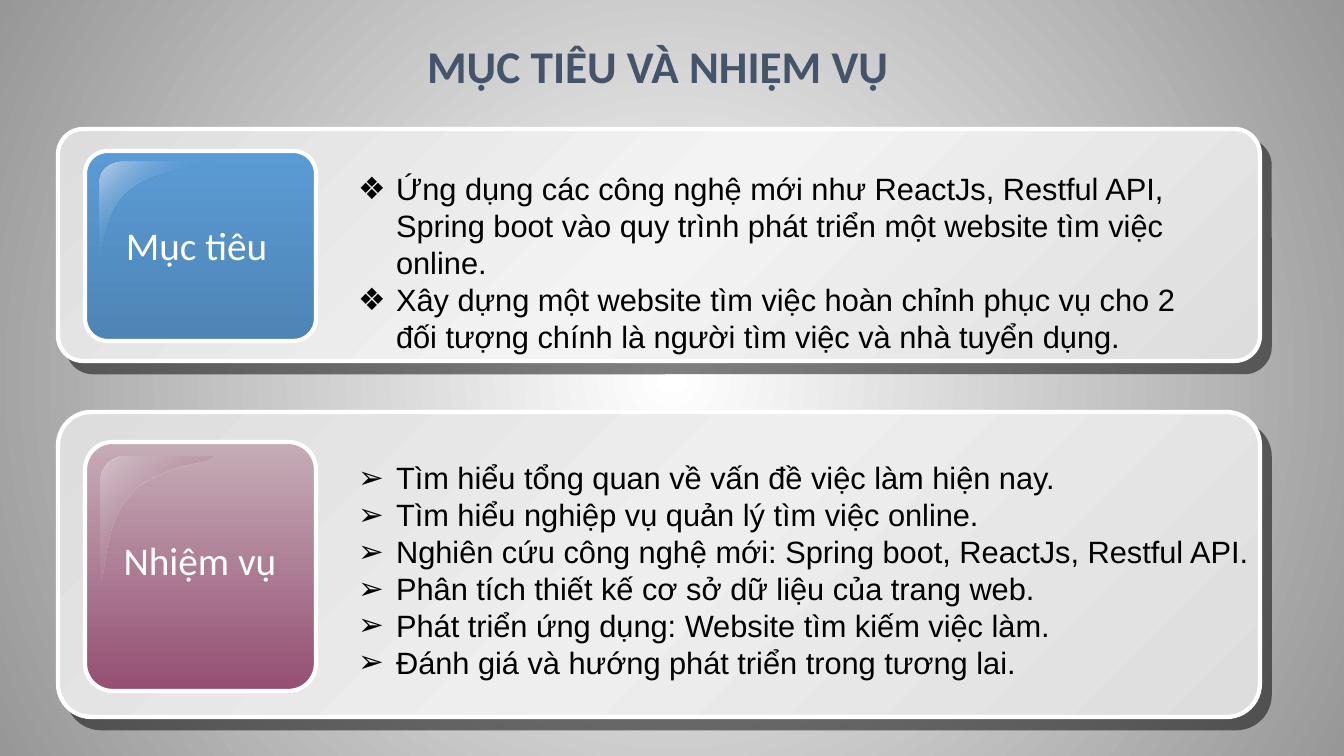
import pptx
import pptx.dml.color
import pptx.enum.shapes
import pptx.enum.text
import pptx.oxml
import pptx.oxml.ns
import pptx.util

RGBColor = pptx.dml.color.RGBColor
WHITE = RGBColor(0xFF, 0xFF, 0xFF)
BLACK = RGBColor(0x00, 0x00, 0x00)
SLATE = RGBColor(0x44, 0x54, 0x6A)
BACKDROP_GRAY = RGBColor(0x97, 0x97, 0x97)
PANEL_GRAY = RGBColor(0xDD, 0xDD, 0xDD)
PANEL_LIGHT = RGBColor(0xF3, 0xF3, 0xF3)
PANEL_MIDDLE = RGBColor(0xEE, 0xEE, 0xEE)
BLUE = RGBColor(0x5B, 0x9B, 0xD5)
DARK_BLUE = RGBColor(0x4E, 0x85, 0xB6)
PALE_BLUE = RGBColor(0xBE, 0xD0, 0xE9)
PLUM = RGBColor(0x95, 0x4F, 0x72)
LIGHT_PLUM = RGBColor(0xC5, 0xAD, 0xB7)
PALE_PLUM = RGBColor(0xD4, 0xC4, 0xCB)

SCALE = 12192000 / 1344
GLOSS_START = (0.2, 0)
GLOSS_CORNER = [(0.09, 0), (0, 0.09), (0, 0.2)]
GLOSS_FOOT = (0, 0.99)
GLOSS_SWEEP = [[(0.04, 1.01), (0.02, 0.52), (0.27, 0.29)],
               [(0.52, 0.06), (1, 0.05), (0.98, 0)]]


def px(length):
    return pptx.util.Emu(round(length * SCALE))


def curve(start, controls, steps=16):
    points = [start, *controls]
    for step in range(1, steps + 1):
        t = step / steps
        weights = ((1 - t) ** 3, 3 * t * (1 - t) ** 2, 3 * t * t * (1 - t), t ** 3)
        yield tuple(sum(w * point[axis] for w, point in zip(weights, points)) for axis in (0, 1))


def gloss_outline():
    outline = [GLOSS_START, *curve(GLOSS_START, GLOSS_CORNER), GLOSS_FOOT]
    for controls in GLOSS_SWEEP:
        outline.extend(curve(outline[-1], controls))
    return outline


class SlideBuilder:
    heading_font = "Calibri"
    body_font = "Arial"

    def __init__(self, slide):
        self.slide = slide

    def xml(self, markup):
        head, tail = markup.split(">", 1)
        closing = "/" if head.endswith("/") else ""
        head = head.rstrip("/")
        return pptx.oxml.parse_xml(f"{head} {pptx.oxml.ns.nsdecls('a')}{closing}>{tail}")

    def gradient(self, fill, properties, stops, direction):
        fill.solid()
        markup = ""
        for position, color, *alpha in stops:
            opacity = f'<a:alpha val="{alpha[0] * 1000}"/>' if alpha else ""
            markup += f'<a:gs pos="{position * 1000}"><a:srgbClr val="{color}">{opacity}</a:srgbClr></a:gs>'
        element = self.xml(f'<a:gradFill rotWithShape="1"><a:gsLst>{markup}</a:gsLst>{direction}</a:gradFill>')
        properties.replace(properties.find(pptx.oxml.ns.qn("a:solidFill")), element)

    def linear(self, shape, stops, angle):
        direction = f'<a:lin ang="{angle * 60000}" scaled="0"/>'
        self.gradient(shape.fill, shape.element.spPr, stops, direction)

    def background(self, stops):
        fill = self.slide.background.fill
        fill.solid()
        properties = self.slide.element.find(".//" + pptx.oxml.ns.qn("p:bgPr"))
        center = '<a:path path="circle"><a:fillToRect l="50000" t="50000" r="50000" b="50000"/></a:path>'
        self.gradient(fill, properties, stops, center)

    def rounded(self, box, radius, stops, angle):
        kind = pptx.enum.shapes.MSO_SHAPE.ROUNDED_RECTANGLE
        shape = self.slide.shapes.add_shape(kind, *map(px, box))
        shape.adjustments[0] = radius
        shape.shadow.inherit = False
        shape.line.color.rgb = WHITE
        shape.line.width = pptx.util.Pt(3)
        self.linear(shape, stops, angle)
        return shape

    def panel(self, box, middle):
        shape = self.rounded(box, 0.109, [(0, PANEL_GRAY), (50, middle), (100, PANEL_GRAY)], 45)
        effects = shape.element.spPr.find(pptx.oxml.ns.qn("a:effectLst"))
        effects.append(self.xml(
            f'<a:outerShdw blurRad="0" dist="{pptx.util.Pt(10.6)}" dir="{49 * 60000}" algn="ctr" rotWithShape="0">'
            f'<a:srgbClr val="{BLACK}"><a:alpha val="50000"/></a:srgbClr></a:outerShdw>'))

    def card(self, box, top_color, bottom_color):
        self.rounded(box, 0.119, [(0, top_color), (100, bottom_color)], 90)

    def gloss(self, box, stops):
        left, top, width, height = box
        points = [(px(left + x * width), px(top + y * height)) for x, y in gloss_outline()]
        builder = self.slide.shapes.build_freeform(*points[0])
        builder.add_line_segments(points[1:], close=True)
        shape = builder.convert_to_shape()
        shape.shadow.inherit = False
        shape.line.fill.background()
        self.linear(shape, stops, 45)

    def style(self, paragraph, font, size, color, alignment, bold=False):
        paragraph.font.name = font
        paragraph.font.size = pptx.util.Pt(size)
        paragraph.font.color.rgb = color
        paragraph.font.bold = bold
        paragraph.alignment = alignment
        paragraph.space_before = pptx.util.Pt(0)

    def label(self, box, text):
        frame = self.slide.shapes.add_textbox(*map(px, box)).text_frame
        frame.word_wrap = False
        frame.auto_size = pptx.enum.text.MSO_AUTO_SIZE.SHAPE_TO_FIT_TEXT
        frame.text = text
        self.style(frame.paragraphs[0], self.heading_font, 28, WHITE, pptx.enum.text.PP_ALIGN.CENTER)

    def place(self, placeholder, box, anchor):
        placeholder.left, placeholder.top, placeholder.width, placeholder.height = map(px, box)
        placeholder.element.getparent().append(placeholder.element)
        frame = placeholder.text_frame
        frame.word_wrap = True
        frame.auto_size = pptx.enum.text.MSO_AUTO_SIZE.NONE
        frame.vertical_anchor = anchor
        return frame

    def bullets(self, placeholder, box, symbol, items):
        frame = self.place(placeholder, box, pptx.enum.text.MSO_ANCHOR.TOP)
        frame.text = "\n".join(items)
        for paragraph in frame.paragraphs:
            self.style(paragraph, self.body_font, 22, BLACK, pptx.enum.text.PP_ALIGN.LEFT)
            properties = paragraph._p.get_or_add_pPr()
            properties.set("marL", str(px(38)))
            properties.set("indent", str(-px(38)))
            mark = self.xml(f'<a:buChar char="{symbol}"/>')
            properties.insert_element_before(mark, "a:tabLst", "a:defRPr", "a:extLst")

    def title(self, box, text):
        frame = self.place(self.slide.shapes.title, box, pptx.enum.text.MSO_ANCHOR.BOTTOM)
        frame.text = text
        paragraph = frame.paragraphs[0]
        self.style(paragraph, self.heading_font, 32.4, SLATE, pptx.enum.text.PP_ALIGN.LEFT, True)
        paragraph.line_spacing = 0.9


def main():
    presentation = pptx.Presentation()
    presentation.slide_width, presentation.slide_height = px(1344), px(756)
    slide = presentation.slides.add_slide(presentation.slide_layouts[3])
    goals, tasks = slide.placeholders[1], slide.placeholders[2]
    builder = SlideBuilder(slide)
    builder.background([(0, WHITE), (100, BACKDROP_GRAY)])

    builder.panel((58, 129, 1202, 232), PANEL_LIGHT)
    builder.card((85, 151, 231, 190), BLUE, DARK_BLUE)
    builder.gloss((100, 162, 116, 95), [(0, PALE_BLUE), (50, BLUE, 0), (100, PALE_BLUE)])
    builder.label((115, 216, 163, 57), "Mục tiêu")
    builder.bullets(goals, (348, 165, 883, 197), "❖", [
        "Ứng dụng các công nghệ mới như ReactJs, Restful API, Spring boot vào quy trình "
        "phát triển một website tìm việc online.",
        "Xây dựng một website tìm việc hoàn chỉnh phục vụ cho 2 đối tượng chính là "
        "người tìm việc và nhà tuyển dụng.",
    ])

    builder.panel((58, 412, 1202, 305), PANEL_MIDDLE)
    builder.card((85, 442, 231, 249), LIGHT_PLUM, PLUM)
    builder.gloss((100, 457, 116, 125), [(0, PALE_PLUM), (100, PLUM, 0)])
    builder.label((113, 531, 174, 61), "Nhiệm vụ")
    builder.bullets(tasks, (348, 454, 925, 234), "➢", [
        "Tìm hiểu tổng quan về vấn đề việc làm hiện nay.",
        "Tìm hiểu nghiệp vụ quản lý tìm việc online.",
        "Nghiên cứu công nghệ mới: Spring boot, ReactJs, Restful API.",
        "Phân tích thiết kế cơ sở dữ liệu của trang web.",
        "Phát triển ứng dụng: Website tìm kiếm việc làm.",
        "Đánh giá và hướng phát triển trong tương lai.",
    ])
    builder.title((417, 36, 483, 62), "MỤC TIÊU VÀ NHIỆM VỤ")

    presentation.save("out.pptx")


if __name__ == "__main__":
    main()
